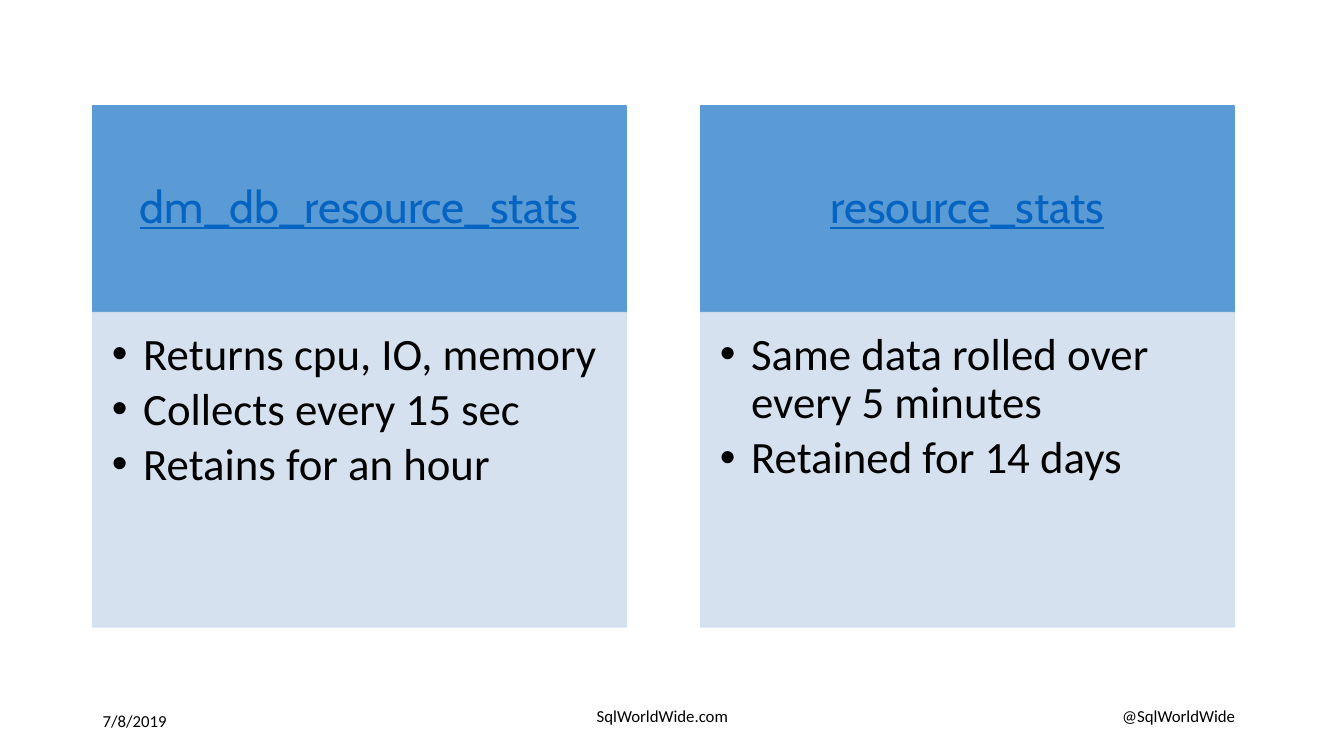
from dataclasses import dataclass

from lxml.etree import SubElement
from pptx import Presentation
from pptx.dml.color import RGBColor
from pptx.enum.shapes import MSO_SHAPE
from pptx.enum.text import MSO_ANCHOR as Anchor, PP_ALIGN as Align
from pptx.oxml.ns import qn
from pptx.util import Inches, Pt


@dataclass(frozen=True)
class Theme:
    header_fill = RGBColor.from_string("5B9BD5")
    body_fill = RGBColor.from_string("D2DEEF")
    body_opacity = 90
    text = RGBColor.from_string("000000")
    link = RGBColor.from_string("0563C1")
    heading_font = "Cabin"
    body_font = "Calibri"
    column_size = Pt(32)
    footer_size = Pt(12)


THEME = Theme()
HEADING = dict(name=THEME.heading_font, size=THEME.column_size, underline=True)
BULLET = dict(name=THEME.body_font, size=THEME.column_size)
FOOTER = dict(name=THEME.body_font, size=THEME.footer_size)

COLUMNS = [
    ("dm_db_resource_stats",
     ["Returns cpu, IO, memory", "Collects every 15 sec", "Retains for an hour"]),
    ("resource_stats",
     ["Same data rolled over every 5 minutes", "Retained for 14 days"]),
]


def apply(target, **values):
    for name, value in values.items():
        setattr(target, name, value)


def set_margins(frame, left, top, right, bottom):
    apply(frame, margin_left=Inches(left), margin_top=Inches(top),
          margin_right=Inches(right), margin_bottom=Inches(bottom))


def write(paragraph, text, color, font, **layout):
    paragraph.text = text
    apply(paragraph, **layout)
    apply(paragraph.font, **font)
    paragraph.font.color.rgb = color


def add_bullet(paragraph, indent):
    properties = paragraph._p.get_or_add_pPr()
    properties.set("marL", str(Inches(indent)))
    properties.set("indent", str(-Inches(indent)))
    SubElement(properties, qn("a:buFont"), typeface="Arial")
    SubElement(properties, qn("a:buChar"), char="•")


def add_panel(slide, box, color, opacity=100):
    """Add a plain rectangle whose fill and outline share one colour."""
    panel = slide.shapes.add_shape(MSO_SHAPE.RECTANGLE, *map(Inches, box))
    panel.shadow.inherit = False
    panel.fill.solid()
    panel.fill.fore_color.rgb = color
    panel.line.color.rgb = color
    panel.line.width = Pt(1)
    if opacity < 100:
        for element in panel._element.spPr.iter(qn("a:srgbClr")):
            SubElement(element, qn("a:alpha"), val=str(opacity * 1000))
    panel.text_frame.word_wrap = True
    return panel


def add_column(slide, box, heading, bullets, header_height=2.05):
    left, top, width, height = box
    header = add_panel(slide, (left, top, width, header_height), THEME.header_fill)
    frame = header.text_frame
    frame.vertical_anchor = Anchor.MIDDLE
    set_margins(frame, 0.25, 0.14, 0.25, 0.14)
    write(frame.paragraphs[0], heading, THEME.link, HEADING,
          alignment=Align.CENTER, line_spacing=0.9, space_after=Pt(11.2))

    body = add_panel(
        slide, (left, top + header_height, width, height - header_height),
        THEME.body_fill, THEME.body_opacity)
    frame = body.text_frame
    frame.vertical_anchor = Anchor.TOP
    set_margins(frame, 0.19, 0.19, 0.25, 0.28)
    for index, text in enumerate(bullets):
        paragraph = frame.add_paragraph() if index else frame.paragraphs[0]
        add_bullet(paragraph, 0.31)
        write(paragraph, text, THEME.text, BULLET,
              alignment=Align.LEFT, line_spacing=0.9, space_after=Pt(4.8))


def add_footer(slide, box):
    left, top, width, height = box
    parts = [
        ("7/8/2019", 0, Align.LEFT, Anchor.MIDDLE),
        ("SqlWorldWide.com", 4.9, Align.LEFT, Anchor.TOP),
        ("@SqlWorldWide", width - 3, Align.RIGHT, Anchor.TOP),
    ]
    for text, offset, alignment, anchor in parts:
        place = (left + offset, top, 3, height)
        frame = slide.shapes.add_textbox(*map(Inches, place)).text_frame
        apply(frame, word_wrap=True, vertical_anchor=anchor)
        write(frame.paragraphs[0], text, THEME.text, FOOTER, alignment=alignment)


def add_comparison(slide, box, gap=0.74):
    left, top, width, height = box
    column_width = (width - gap * (len(COLUMNS) - 1)) / len(COLUMNS)
    for index, (heading, bullets) in enumerate(COLUMNS):
        column_left = left + index * (column_width + gap)
        add_column(slide, (column_left, top, column_width, height), heading, bullets)


def main():
    presentation = Presentation()
    apply(presentation, slide_width=Inches(13.33), slide_height=Inches(7.5))
    blank_layout = presentation.slide_layouts[6]
    slide = presentation.slides.add_slide(blank_layout)
    add_comparison(slide, (0.92, 1.05, 11.32, 5.17))
    add_footer(slide, (0.92, 6.95, 11.43, 0.4))
    presentation.save("out.pptx")


if __name__ == "__main__":
    main()
